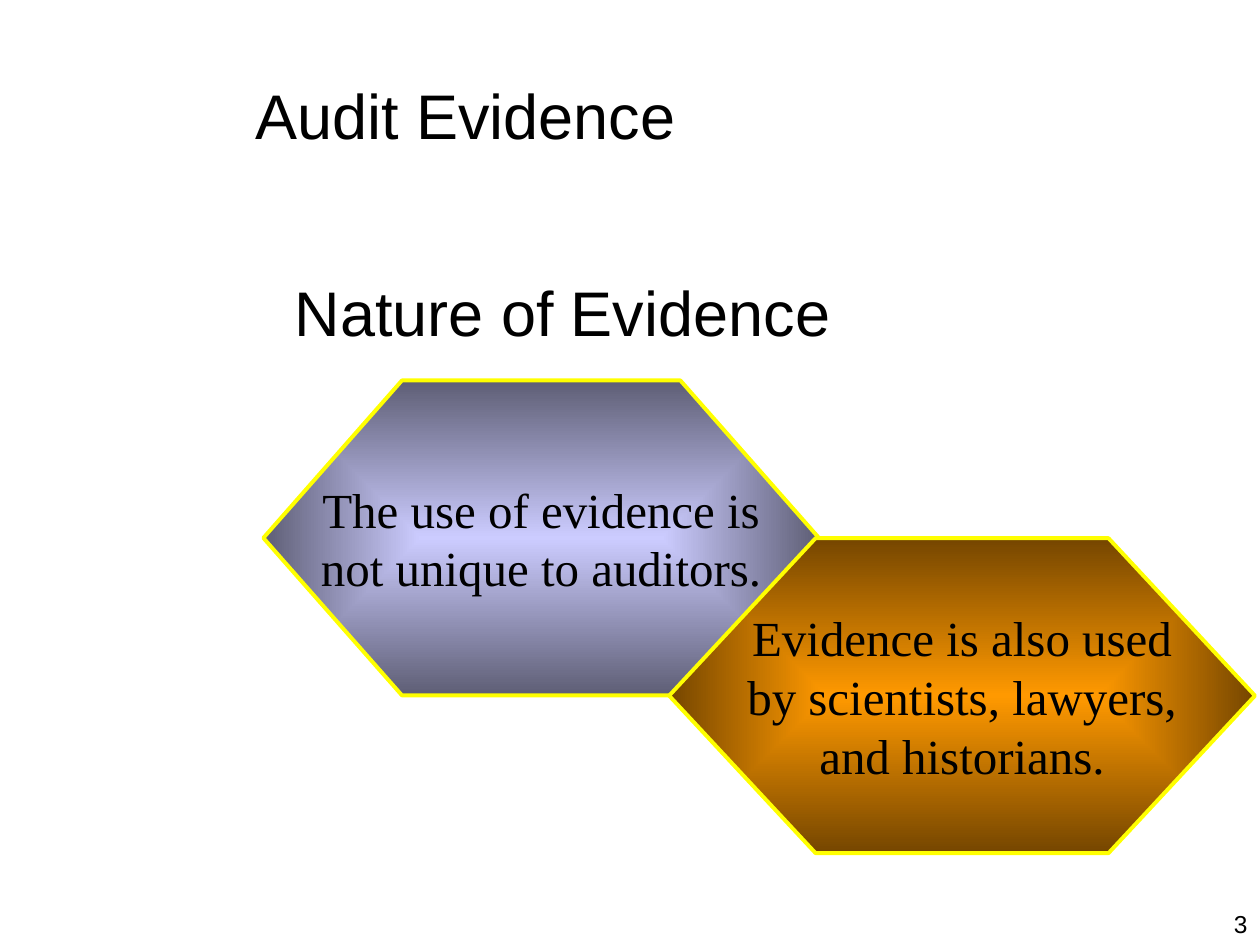
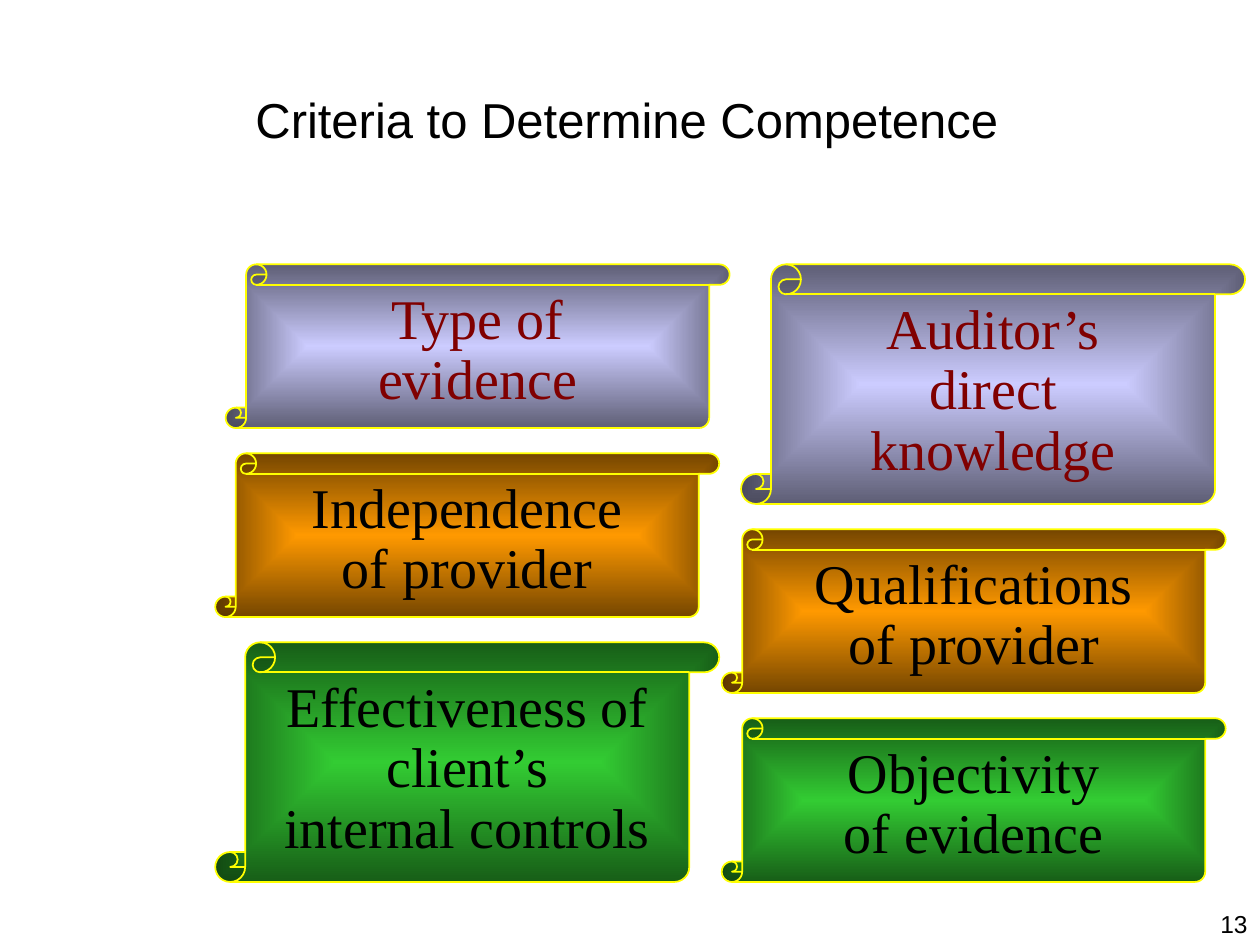
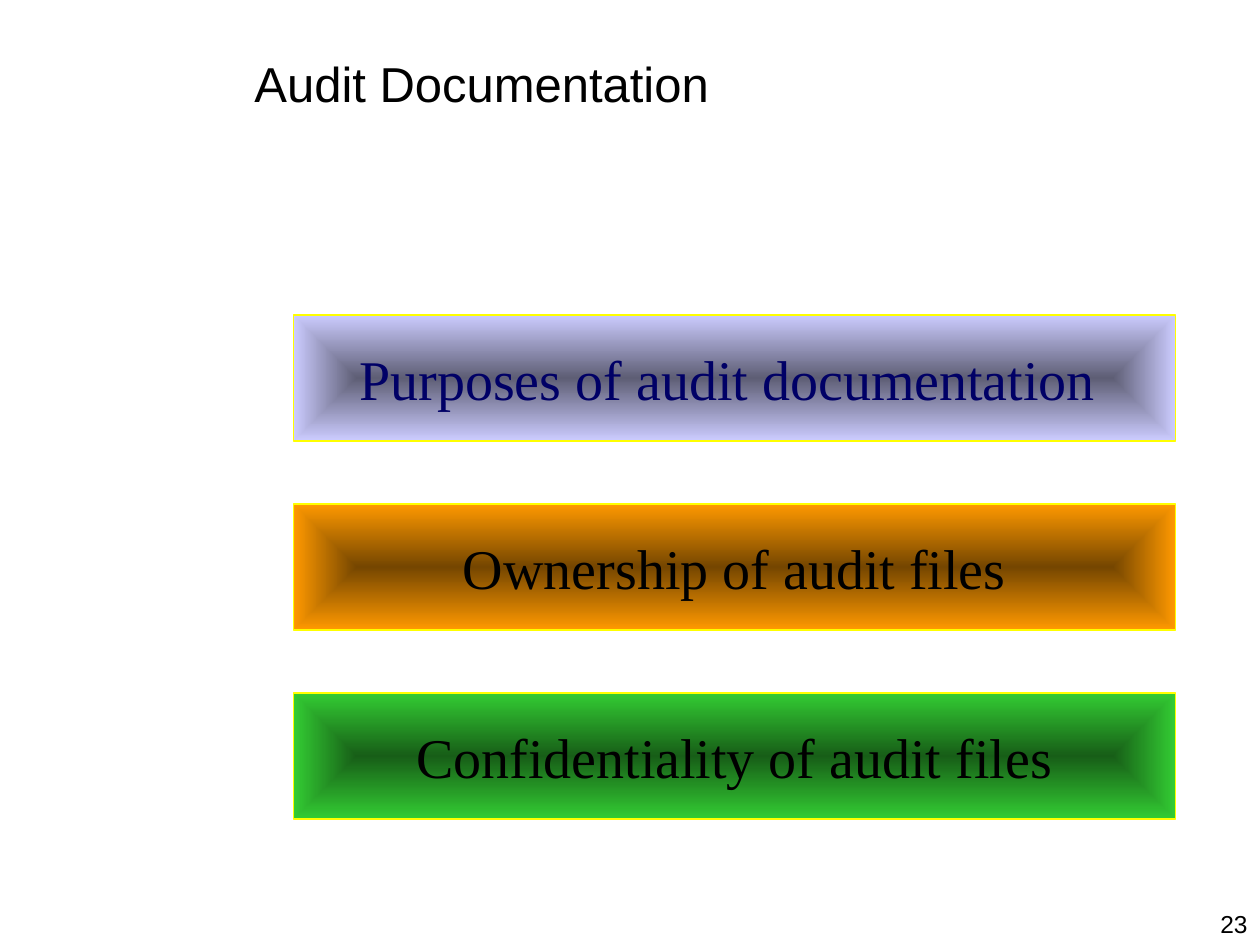
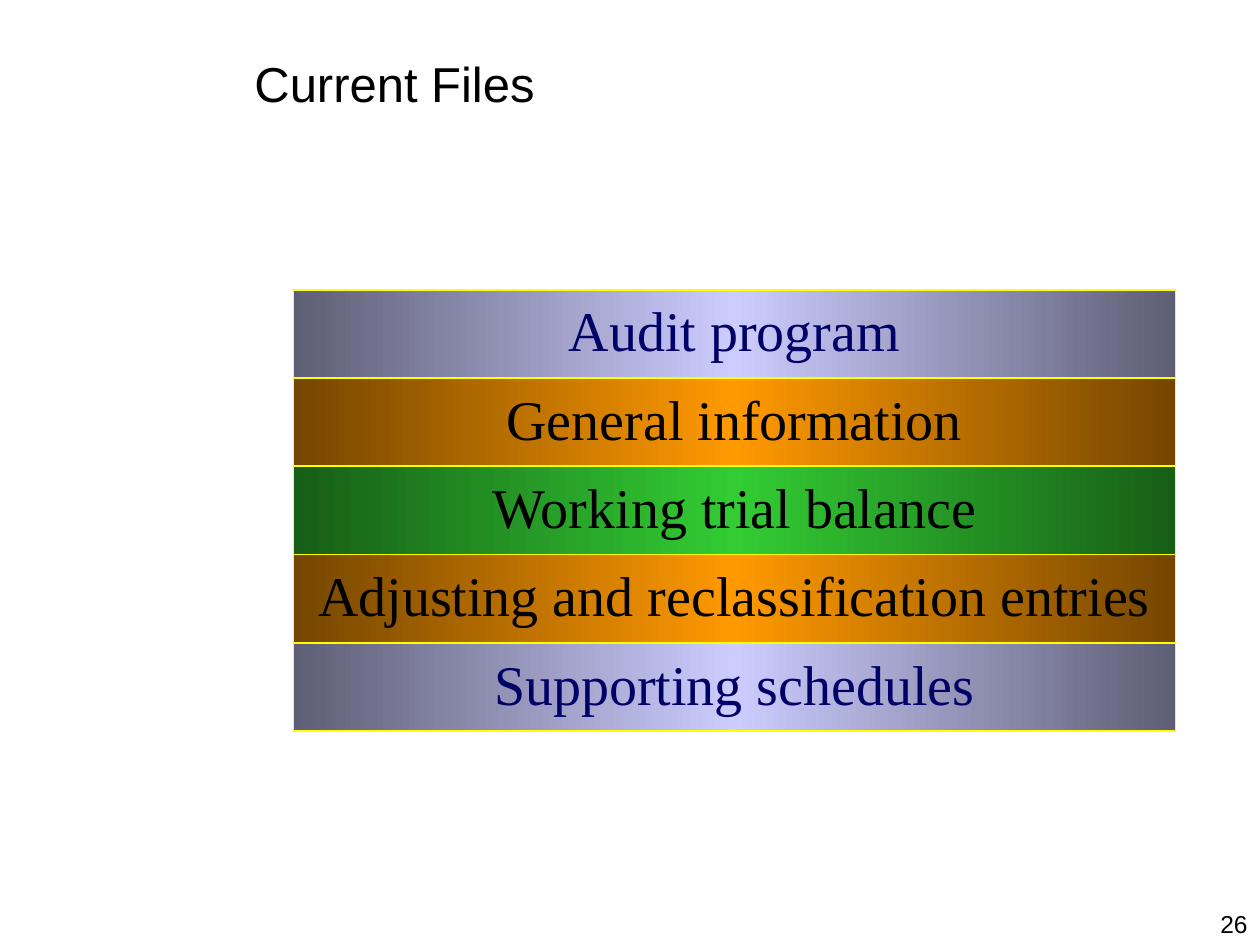
from dataclasses import dataclass
from typing import Any, Optional

import pptx
import pptx.dml.color
import pptx.enum.shapes
import pptx.enum.text
import pptx.oxml
import pptx.oxml.ns
import pptx.util

Cm = pptx.util.Cm
Pt = pptx.util.Pt
RGBColor = pptx.dml.color.RGBColor
Preset = pptx.enum.shapes.MSO_SHAPE
Anchor = pptx.enum.text.MSO_ANCHOR
Align = pptx.enum.text.PP_ALIGN

BLACK = RGBColor(0x00, 0x00, 0x00)
YELLOW = RGBColor(0xFF, 0xFF, 0x00)
MAROON = RGBColor(0x80, 0x00, 0x00)
NAVY = RGBColor(0x00, 0x00, 0x66)
LAVENDER = RGBColor(0xCC, 0xCC, 0xFF)
SLATE = RGBColor(0x5E, 0x5E, 0x75)
ORANGE = RGBColor(0xFF, 0x99, 0x00)
BROWN = RGBColor(0x75, 0x46, 0x00)
GREEN = RGBColor(0x33, 0xCC, 0x33)
FOREST = RGBColor(0x17, 0x5E, 0x17)

HEADING_FONT = "Arial"
BODY_FONT = "Times New Roman"
CENTER_PATH = (
    '<a:path path="rect"><a:fillToRect l="50000" t="50000" r="50000" b="50000"/></a:path>'
)
HORIZONTAL = '<a:lin ang="10800000" scaled="0"/>'


@dataclass(frozen=True)
class Tone:
    light: RGBColor
    dark: RGBColor


@dataclass(frozen=True)
class Box:
    left: float
    top: float
    width: float
    height: float

    def lengths(self) -> tuple[pptx.util.Length, ...]:
        return tuple(Cm(value) for value in (self.left, self.top, self.width, self.height))


@dataclass(frozen=True)
class PanelStyle:
    preset: Any
    size: int
    line_width: float
    direction: str = CENTER_PATH
    anchor: Any = Anchor.MIDDLE
    line_spacing: Optional[float] = None


@dataclass(frozen=True)
class Scroll:
    left: float
    text: str
    tone: Tone
    color: RGBColor = BLACK


@dataclass(frozen=True)
class Bar:
    text: str
    tone: Tone
    color: RGBColor = BLACK


VIOLET_TONE = Tone(LAVENDER, SLATE)
ORANGE_TONE = Tone(ORANGE, BROWN)
GREEN_TONE = Tone(GREEN, FOREST)

HEXAGON = PanelStyle(Preset.HEXAGON, 28, 2.25)
SCROLL = PanelStyle(Preset.VERTICAL_SCROLL, 32, 1, line_spacing=0.9)
BLOCK = PanelStyle(Preset.RECTANGLE, 32, 1)
STRIPE = PanelStyle(Preset.RECTANGLE, 32, 1, HORIZONTAL, Anchor.TOP)

UPPER_TITLE = Box(4.88, 0.08, 20.12, 3.18)
PAGE_NUMBER = Box(20.12, 18.21, 5.28, 0.84)
BAR_LEFT, BAR_WIDTH = 5.92, 17.78
SCROLL_TOP, SCROLL_WIDTH, SCROLL_GAP = 5.33, 10.16, 0.51
SCROLL_HEIGHTS = {2: 3.3, 3: 4.83}


def write_lines(
    shape: Any, text: str, font_name: str, size: int, color: RGBColor,
    align: Any, anchor: Any, line_spacing: Optional[float] = None,
) -> None:
    frame = shape.text_frame
    frame.text = text
    frame.vertical_anchor = anchor
    for paragraph in frame.paragraphs:
        paragraph.alignment = align
        paragraph.line_spacing = line_spacing
        paragraph.font.name = font_name
        paragraph.font.size = Pt(size)
        paragraph.font.color.rgb = color


def add_label(
    slide: Any, box: Box, text: str, size: int,
    align: Any = Align.LEFT, anchor: Any = Anchor.MIDDLE,
) -> None:
    shape = slide.shapes.add_textbox(*box.lengths())
    shape.text_frame.word_wrap = True
    write_lines(shape, text, HEADING_FONT, size, BLACK, align, anchor)


def set_gradient(shape: Any, colors: list[RGBColor], direction: str) -> None:
    step = 100000 // (len(colors) - 1)
    stops = "".join(
        f'<a:gs pos="{index * step}"><a:srgbClr val="{color}"/></a:gs>'
        for index, color in enumerate(colors)
    )
    gradient = pptx.oxml.parse_xml(
        f'<a:gradFill {pptx.oxml.ns.nsdecls("a")} rotWithShape="1">'
        f"<a:gsLst>{stops}</a:gsLst>{direction}</a:gradFill>"
    )
    shape._element.spPr.find(pptx.oxml.ns.qn("a:prstGeom")).addnext(gradient)


def add_panel(
    slide: Any, box: Box, style: PanelStyle, text: str,
    gradient: list[RGBColor], color: RGBColor = BLACK,
) -> Any:
    shape = slide.shapes.add_shape(style.preset, *box.lengths())
    shape.shadow.inherit = False
    set_gradient(shape, gradient, style.direction)
    shape.line.color.rgb = YELLOW
    shape.line.width = Pt(style.line_width)
    shape.text_frame.word_wrap = False
    write_lines(
        shape, text, BODY_FONT, style.size, color, Align.CENTER, style.anchor, style.line_spacing
    )
    return shape


def add_hexagon(slide: Any, box: Box, text: str, tone: Tone, corner: float) -> None:
    shape = add_panel(slide, box, HEXAGON, text, [tone.light, tone.dark])
    shape.adjustments[0] = corner


def add_scroll_column(slide: Any, scrolls: list[Scroll]) -> None:
    top = SCROLL_TOP
    for scroll in scrolls:
        height = SCROLL_HEIGHTS[len(scroll.text.splitlines())]
        box = Box(scroll.left, top, SCROLL_WIDTH, height)
        gradient = [scroll.tone.light, scroll.tone.dark]
        add_panel(slide, box, SCROLL, scroll.text, gradient, scroll.color)
        top += height + SCROLL_GAP


def add_slide(
    presentation: Any, title: str, title_box: Box, title_size: int, number: int
) -> Any:
    slide = presentation.slides.add_slide(presentation.slide_layouts[6])
    add_label(slide, title_box, title, title_size)
    add_label(slide, PAGE_NUMBER, str(number), 14, Align.RIGHT, Anchor.TOP)
    return slide


def build_evidence(presentation: Any) -> None:
    slide = add_slide(presentation, "Audit Evidence", Box(4.9, 0.71, 18.59, 3.18), 36, 3)
    add_hexagon(
        slide, Box(5.31, 7.67, 11.2, 6.35),
        "The use of evidence is\nnot unique to auditors.", VIOLET_TONE, 0.44,
    )
    add_hexagon(
        slide, Box(13.49, 10.85, 11.81, 6.35),
        "Evidence is also used\nby scientists, lawyers,\nand historians.", ORANGE_TONE, 0.465,
    )
    add_label(
        slide, Box(5.69, 4.98, 17.15, 2.18), "Nature of Evidence", 36, anchor=Anchor.BOTTOM
    )


def build_criteria(presentation: Any) -> None:
    slide = add_slide(
        presentation, "Criteria to Determine Competence", Box(4.9, 0.53, 18.59, 3.73), 28, 13
    )
    add_scroll_column(slide, [
        Scroll(4.55, "Type of\nevidence", VIOLET_TONE, MAROON),
        Scroll(4.34, "Independence\nof provider", ORANGE_TONE),
        Scroll(4.34, "Effectiveness of\nclient’s\ninternal controls", GREEN_TONE),
    ])
    add_scroll_column(slide, [
        Scroll(14.94, "Auditor’s\ndirect\nknowledge", VIOLET_TONE, MAROON),
        Scroll(14.55, "Qualifications\nof provider", ORANGE_TONE),
        Scroll(14.55, "Objectivity\nof evidence", GREEN_TONE),
    ])


def build_documentation(presentation: Any) -> None:
    slide = add_slide(presentation, "Audit Documentation", UPPER_TITLE, 28, 23)
    bars = [
        Bar("Purposes of audit documentation ", VIOLET_TONE, NAVY),
        Bar("Ownership of audit files", ORANGE_TONE),
        Bar("Confidentiality of audit files", GREEN_TONE),
    ]
    for index, bar in enumerate(bars):
        box = Box(BAR_LEFT, 6.35 + index * 3.81, BAR_WIDTH, 2.54)
        add_panel(slide, box, BLOCK, bar.text, [bar.tone.dark, bar.tone.light], bar.color)


def build_current_files(presentation: Any) -> None:
    slide = add_slide(presentation, "Current Files", UPPER_TITLE, 28, 26)
    bars = [
        Bar("Audit program", VIOLET_TONE, NAVY),
        Bar("General information", ORANGE_TONE),
        Bar("Working trial balance", GREEN_TONE),
        Bar("Adjusting and reclassification entries", ORANGE_TONE),
        Bar("Supporting schedules", VIOLET_TONE, NAVY),
    ]
    height = 1.78
    for index, bar in enumerate(bars):
        box = Box(BAR_LEFT, 5.84 + index * height, BAR_WIDTH, height)
        gradient = [bar.tone.dark, bar.tone.light, bar.tone.dark]
        add_panel(slide, box, STRIPE, bar.text, gradient, bar.color)


def main() -> None:
    presentation = pptx.Presentation()
    presentation.slide_width = Cm(25.4)
    presentation.slide_height = Cm(19.05)
    build_evidence(presentation)
    build_criteria(presentation)
    build_documentation(presentation)
    build_current_files(presentation)
    presentation.save("out.pptx")


if __name__ == "__main__":
    main()
